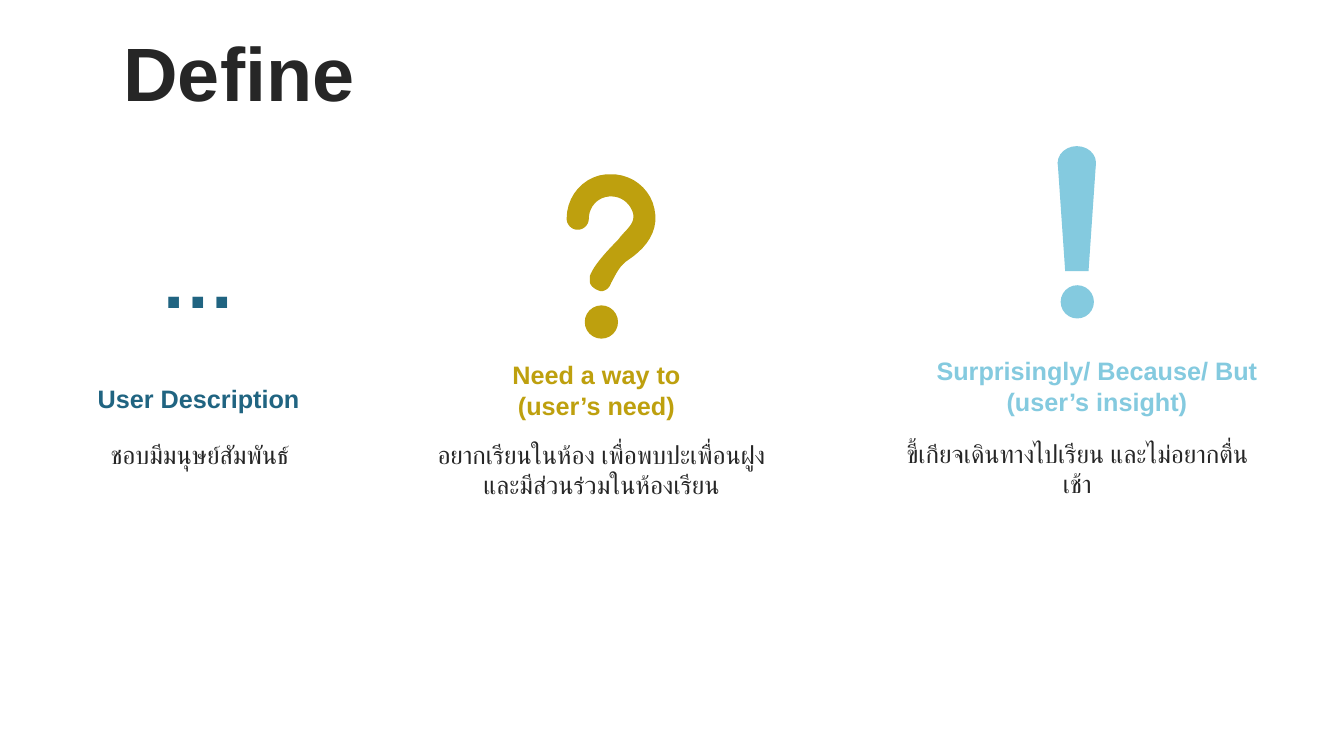
from pptx import Presentation
from pptx import util as u
from pptx.dml.color import RGBColor
from pptx.enum import shapes, text

PX = 9144  # 100 px to the inch
FONT = "Arial"
INK = RGBColor(0x26, 0x26, 0x26)
TEAL = RGBColor(0x20, 0x64, 0x81)
GOLD = RGBColor(0xBE, 0xA0, 0x0E)
SKY = RGBColor(0x84, 0xCA, 0xDF)
CENTER = text.PP_ALIGN.CENTER
LEFT = text.PP_ALIGN.LEFT
CURVE_STEPS = 10

# Hook of the question mark, in px from its top left corner:
# a pair is a straight line, six numbers are a Bezier curve.
HOOK_START = (43, 0)
HOOK = [
    (64, -1, 83, 14, 87, 34),
    (92, 56, 79, 73, 61, 85),
    (52, 91, 49, 99, 44, 108),
    (42, 114, 37, 116, 34, 116),
    (30, 115, 24, 112, 23, 107),
    (23, 101),
    (26, 92, 37, 79, 51, 65),
    (58, 55, 68, 50, 66, 39),
    (63, 28, 53, 21, 42, 22),
    (30, 23, 22, 33, 22, 44),
    (22, 50, 17, 55, 11, 55),
    (5, 55, 0, 50, 0, 44),
    (0, 21, 17, 2, 39, 0),
    (41, 0, 42, 0, 43, 0),
]

# Each column: caption and its box, caption colour, finding and its box
COLUMNS = [
    (["User Description"], (64, 375, 266, 40), TEAL,
     "ชอบมีมนุษย์สัมพันธ์", (64, 431, 268, 53)),
    (["Need a way to ", "(user’s need) "], (421, 352, 348, 71), GOLD,
     "อยากเรียนในห้อง เพื่อพบปะเพื่อนฝูงและมีส่วนร่วมในห้องเรียน",
     (421, 431, 351, 95)),
    (["Surprisingly/ Because/ But (user’s insight)"], (901, 348, 374, 101), SKY,
     "ขี้เกียจเดินทางไปเรียน และไม่อยากตื่นเช้า", (880, 430, 377, 95)),
]


def px(*lengths):
    return [u.Emu(length * PX) for length in lengths]


def paint(shape, color):
    shape.shadow.inherit = False
    shape.fill.solid()
    shape.fill.fore_color.rgb = color
    shape.line.fill.background()


def add_text(parent, box, lines, color, frame_format, para_format, **font_format):
    frame = parent.add_textbox(*px(*box)).text_frame
    for name, value in {"word_wrap": True, **frame_format}.items():
        setattr(frame, name, value)
    for index, line in enumerate(lines):
        para = frame.add_paragraph() if index else frame.paragraphs[0]
        for name, value in para_format.items():
            setattr(para, name, value)
        span = para.add_run()
        span.text = line
        span.font.color.rgb = color
        for name, value in {"name": FONT, **font_format}.items():
            setattr(span.font, name, value)


def add_display(page, box, line, color, alignment):
    """Large bold line, centred vertically in its box."""
    add_text(page.shapes, box, [line], color,
             {"vertical_anchor": text.MSO_ANCHOR.MIDDLE},
             {"alignment": alignment, "line_spacing": 0.9, "space_before": u.Pt(10)},
             size=u.Pt(54), bold=True)


def add_column(page, caption, caption_box, color, finding, finding_box):
    column = page.shapes.add_group_shape().shapes
    rows = [(finding_box, [finding], INK, False), (caption_box, caption, color, True)]
    for box, lines, row_color, bold in rows:
        add_text(column, box, lines, row_color,
                 {"auto_size": text.MSO_AUTO_SIZE.SHAPE_TO_FIT_TEXT},
                 {"alignment": CENTER}, size=u.Pt(18), bold=bold)


def trace(start, segments):
    """Points along the outline, with each curve cut into short lines."""
    points = [start]
    for segment in segments:
        if len(segment) == 2:
            points.append(segment)
            continue
        knots = [points[-1], segment[:2], segment[2:4], segment[4:]]
        for step in range(1, CURVE_STEPS + 1):
            t = step / CURVE_STEPS
            weights = ((1 - t) ** 3, 3 * t * (1 - t) ** 2, 3 * t * t * (1 - t), t ** 3)
            points.append(tuple(sum(w * knot[axis] for w, knot in zip(weights, knots))
                                for axis in (0, 1)))
    return points


def add_question_mark(page, left, top):
    icon = page.shapes.add_group_shape().shapes
    outline = [((left + x) * PX, (top + y) * PX) for x, y in trace(HOOK_START, HOOK)]
    builder = icon.build_freeform(*outline[0])
    builder.add_line_segments(outline[1:], close=True)
    paint(builder.convert_to_shape(), GOLD)
    dot = icon.add_shape(shapes.MSO_SHAPE.OVAL, *px(left + 18, top + 130, 33, 33))
    paint(dot, GOLD)


def add_exclamation_mark(page, left, top):
    icon = page.shapes.add_group_shape().shapes
    stem = icon.add_shape(shapes.MSO_SHAPE.TRAPEZOID, *px(left, top + 16, 38, 108))
    stem.rotation = 180
    stem.adjustments[0] = 0.195
    cap = icon.add_shape(shapes.MSO_SHAPE.OVAL, *px(left, top, 38, 33))
    dot = icon.add_shape(shapes.MSO_SHAPE.OVAL, *px(left + 3, top + 138, 33, 33))
    for part in (stem, cap, dot):
        paint(part, SKY)


def main():
    deck = Presentation()
    deck.slide_width, deck.slide_height = px(1333, 750)
    page = deck.slides.add_slide(deck.slide_layouts[6])
    add_display(page, (35, 37, 404, 79), "Define", INK, CENTER)
    add_question_mark(page, 562, 173)
    add_exclamation_mark(page, 1049, 145)
    for column in COLUMNS:
        add_column(page, *column)
    add_display(page, (149, 242, 135, 79), "…", TEAL, LEFT)
    deck.save("out.pptx")


if __name__ == "__main__":
    main()
